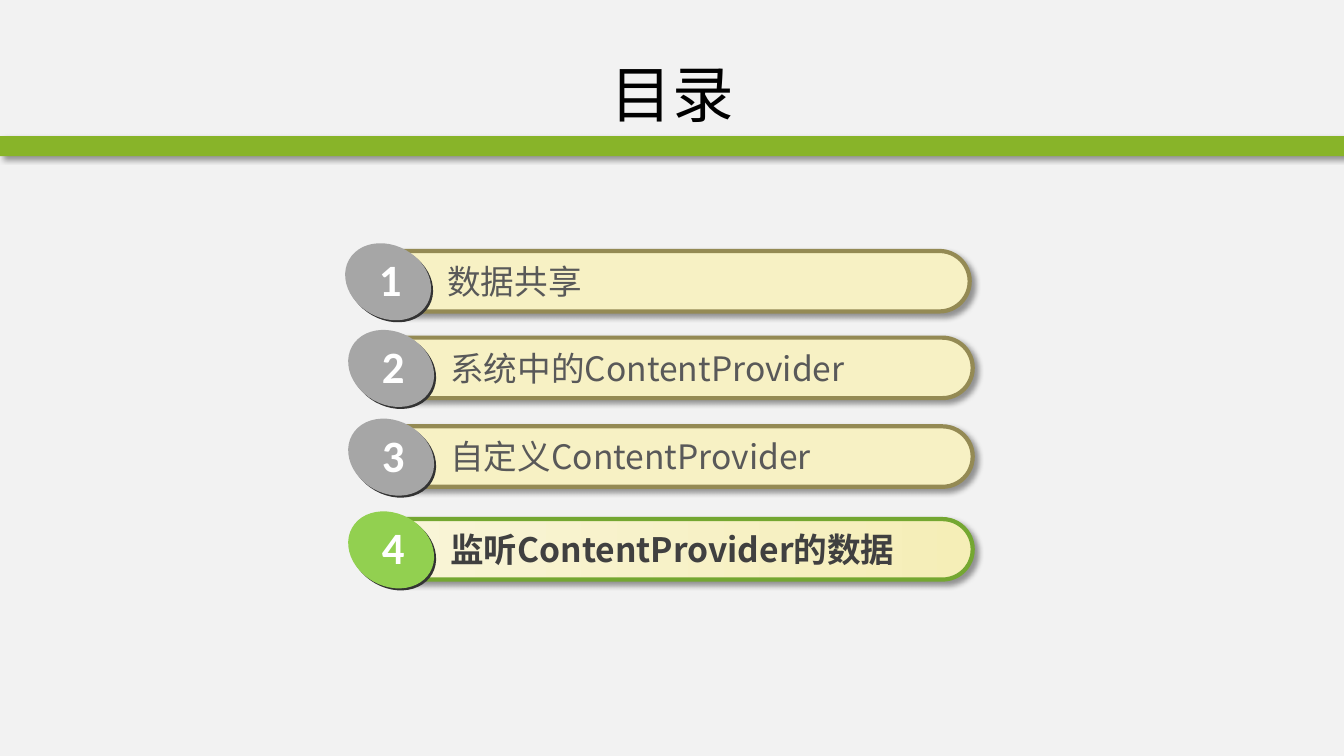
import lxml.etree
import pptx
import pptx.dml.color
import pptx.enum.shapes
import pptx.enum.text
import pptx.oxml.ns
import pptx.util

COLUMNS, ROWS = 133.33, 75
UNIT = pptx.util.Inches(0.1)
HAN_FONT = "Noto Sans CJK SC"

COLORS = {
    "background": "F2F2F2",
    "band": "88B429",
    "title": "000000",
    "shadow": "000000",
    "disc_edge": "333333",
    "number": "FFFFFF",
}
NORMAL = {
    "bar": ["F7F1C4"],
    "border": "948A54",
    "disc": "A6A6A6",
    "text": "595959",
    "bold": False,
}
CURRENT = {
    "bar": ["F9F5D9", "F5EEB7"],
    "border": "74A731",
    "disc": "92D050",
    "text": "404040",
    "bold": True,
}
AGENDA = [
    ("数据共享", 36.2, 24.9, NORMAL),
    ("系统中的ContentProvider", 36.5, 33.5, NORMAL),
    ("自定义ContentProvider", 36.5, 42.3, NORMAL),
    ("监听ContentProvider的数据", 36.5, 51.5, CURRENT),
]


def rgb(value):
    return pptx.dml.color.RGBColor.from_string(value)


def grid(*cells):
    return [round(cell * UNIT) for cell in cells]


def add_child(parent, tag, **attributes):
    child = lxml.etree.SubElement(parent, pptx.oxml.ns.qn(tag))
    for name, value in attributes.items():
        child.set(name, str(value))
    return child


def add_shadow(shape):
    effects = shape._element.spPr.find(pptx.oxml.ns.qn("a:effectLst"))
    shadow = add_child(
        effects, "a:outerShdw", blurRad=pptx.util.Pt(4), dist=pptx.util.Pt(3),
        dir=45 * 60000, algn="tl", rotWithShape=0,
    )
    color = add_child(shadow, "a:srgbClr", val=COLORS["shadow"])
    add_child(color, "a:alpha", val=40000)


def add_solid(shapes, kind, cells, fills, border=None, rotation=0):
    shape = shapes.add_shape(kind, *grid(*cells))
    shape.shadow.inherit = False
    shape.rotation = rotation
    if len(fills) == 1:
        shape.fill.solid()
        shape.fill.fore_color.rgb = rgb(fills[0])
    else:
        shape.fill.gradient()
        shape.fill.gradient_angle = 0
        for stop, value in zip(shape.fill.gradient_stops, fills):
            stop.color.rgb = rgb(value)
    if border:
        shape.line.color.rgb = rgb(border)
        shape.line.width = pptx.util.Pt(3)
    else:
        shape.line.fill.background()
    return shape


def add_label(shapes, cells, text, color, font, frame=None, align=None):
    label = shapes.add_textbox(*grid(*cells))
    for name, value in {"word_wrap": True, **(frame or {})}.items():
        setattr(label.text_frame, name, value)
    paragraph = label.text_frame.paragraphs[0]
    paragraph.alignment = align
    run = paragraph.add_run()
    run.text = text
    for name, value in font.items():
        setattr(run.font, name, value)
    run.font.color.rgb = rgb(color)
    add_child(run.font._element, "a:ea", typeface=font["name"])


def add_agenda_item(slide, number, text, left, top, style):
    kinds = pptx.enum.shapes.MSO_SHAPE
    shapes = slide.shapes.add_group_shape().shapes
    bar = add_solid(shapes, kinds.ROUNDED_RECTANGLE, (left, top, 60, 6),
                    style["bar"], style["border"])
    bar.adjustments[0] = 0.5
    add_shadow(bar)
    add_label(shapes, (left + 7.2, top + 0.5, 50, 5), text, style["text"],
              {"name": HAN_FONT, "size": pptx.util.Pt(24), "bold": style["bold"]})
    for offset, color in ((0.2, COLORS["disc_edge"]), (0, style["disc"])):
        add_solid(shapes, kinds.OVAL,
                  (left - 2.15 + offset, top - 0.55 + offset, 8.9, 7.2),
                  [color], rotation=29.3)
    add_label(shapes, (left + 0.4, top - 0.4, 4.3, 6.4), str(number), COLORS["number"],
              {"name": "Calibri", "size": pptx.util.Pt(32), "bold": True},
              {"word_wrap": False})


def main():
    presentation = pptx.Presentation()
    presentation.slide_width, presentation.slide_height = grid(COLUMNS, ROWS)
    slide = presentation.slides.add_slide(presentation.slide_layouts[6])
    slide.background.fill.solid()
    slide.background.fill.fore_color.rgb = rgb(COLORS["background"])

    band = add_solid(slide.shapes, pptx.enum.shapes.MSO_SHAPE.RECTANGLE,
                     (0, 13.5, COLUMNS, 2), [COLORS["band"]])
    add_shadow(band)
    for number, item in enumerate(AGENDA, 1):
        add_agenda_item(slide, number, *item)
    add_label(slide.shapes, (6.7, 3, 120, 12.5), "目录", COLORS["title"],
              {"name": HAN_FONT, "size": pptx.util.Pt(44)},
              {"vertical_anchor": pptx.enum.text.MSO_ANCHOR.MIDDLE},
              pptx.enum.text.PP_ALIGN.CENTER)
    presentation.save("out.pptx")


if __name__ == "__main__":
    main()
